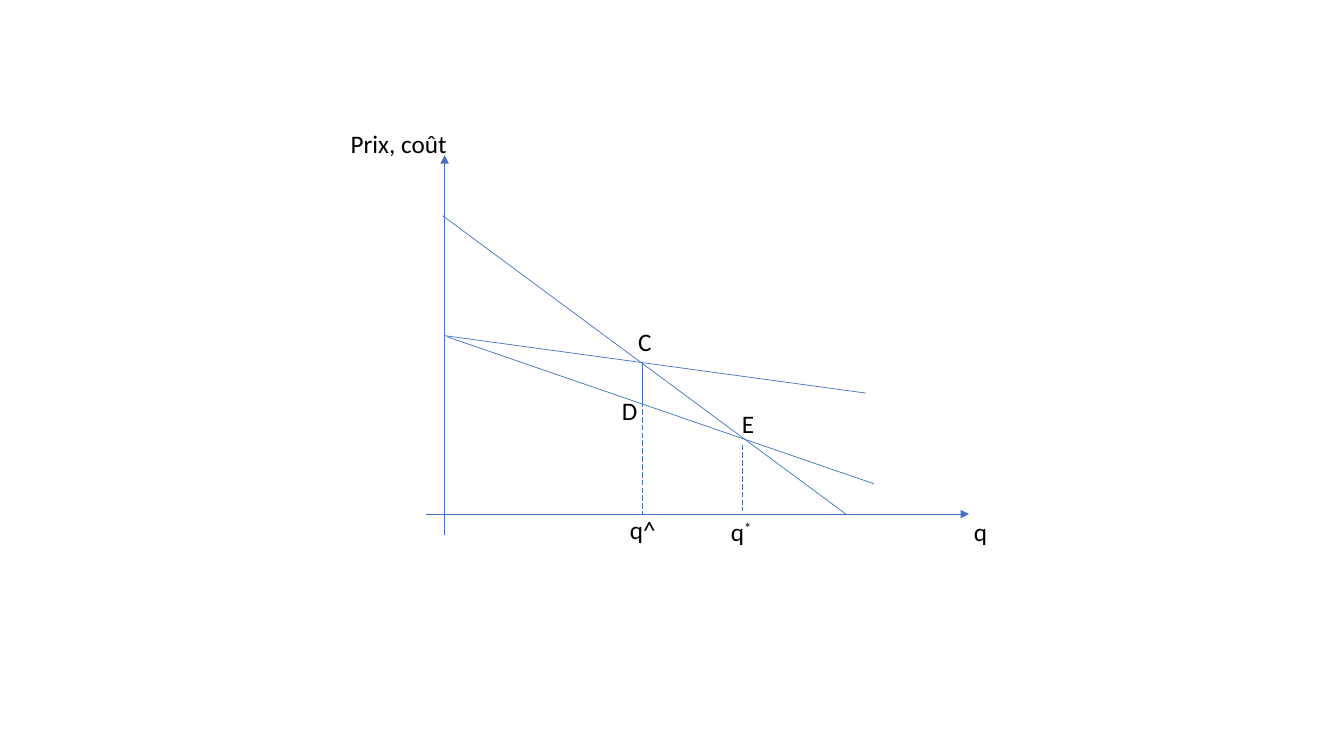
"""Build a price and cost diagram with demand and cost lines."""
from dataclasses import dataclass

from lxml.etree import SubElement
from pptx import Presentation
from pptx.dml.color import RGBColor
from pptx.enum.dml import MSO_LINE
from pptx.enum.shapes import MSO_CONNECTOR
from pptx.enum.text import MSO_AUTO_SIZE
from pptx.oxml.ns import qn
from pptx.slide import Slide
from pptx.util import Emu, Pt

EMU_PER_PX = 9144
LINE_COLOUR = "4472C4"
TEXT_COLOUR = "000000"
LABEL_HEIGHT = 40
AXIS_X = 441
AXIS_Y = 510
Q_HAT_X = 637
Q_STAR_X = 736
C_Y = 359


@dataclass(frozen=True)
class Line:
    start: tuple[int, int]
    end: tuple[int, int]
    arrow: bool = False
    dashed: bool = False


@dataclass(frozen=True)
class Label:
    text: str
    left: int
    top: int
    width: int
    superscript: str = ""


LINES = [
    Line((AXIS_X, 531), (AXIS_X, 154), arrow=True),
    Line((423, AXIS_Y), (961, AXIS_Y), arrow=True),
    Line((839, AXIS_Y), (439, 214)),
    Line((AXIS_X, 333), (859, 390)),
    Line((443, 334), (867, 480)),
    Line((Q_HAT_X, C_Y), (Q_HAT_X, 399)),
    Line((Q_STAR_X, 441), (Q_STAR_X, 507), dashed=True),
    Line((Q_HAT_X, C_Y), (Q_HAT_X, AXIS_Y), dashed=True),
]

LABELS = [
    Label("q", 956, 507, 34),
    Label("Prix, coût", 338, 122, 116),
    Label("C", 623, 319, 34),
    Label("D", 607, 387, 36),
    Label("E", 726, 400, 32),
    Label("q", 715, 507, 42, superscript="*"),
    Label("q^", 615, 505, 46),
]


def px(length: int) -> Emu:
    """Turn whole pixels into EMU."""
    return Emu(length * EMU_PER_PX)


def colour(value: str) -> RGBColor:
    """Turn a hex string into a colour."""
    return RGBColor.from_string(value)


def draw_line(slide: Slide, line: Line) -> None:
    """Draw a thin line, with an arrowhead or dashes if asked."""
    connector = slide.shapes.add_connector(
        MSO_CONNECTOR.STRAIGHT, *map(px, line.start + line.end)
    )
    connector.line.color.rgb = colour(LINE_COLOUR)
    connector.line.width = Pt(0.5)
    if line.dashed:
        connector.line.dash_style = MSO_LINE.LONG_DASH
    if line.arrow:
        outline = connector.line._get_or_add_ln()
        SubElement(outline, qn("a:tailEnd"), type="triangle")
    SubElement(connector._element.spPr, qn("a:effectLst"))


def draw_label(slide: Slide, label: Label) -> None:
    """Write a label, with its superscript if it has one."""
    box = slide.shapes.add_textbox(
        px(label.left), px(label.top), px(label.width), px(LABEL_HEIGHT)
    )
    frame = box.text_frame
    frame.word_wrap = False
    frame.auto_size = MSO_AUTO_SIZE.SHAPE_TO_FIT_TEXT
    paragraph = frame.paragraphs[0]
    for text, raised in ((label.text, False), (label.superscript, True)):
        if not text:
            continue
        run = paragraph.add_run()
        run.text = text
        run.font.name = "Calibri"
        run.font.size = Pt(18)
        run.font.color.rgb = colour(TEXT_COLOUR)
        if raised:
            run._r.get_or_add_rPr().set("baseline", "30000")


def main() -> None:
    """Build and save the presentation."""
    presentation = Presentation()
    presentation.slide_width = px(1333)
    presentation.slide_height = px(750)
    slide = presentation.slides.add_slide(presentation.slide_layouts[6])
    for line in LINES:
        draw_line(slide, line)
    for label in LABELS:
        draw_label(slide, label)
    presentation.save("out.pptx")


if __name__ == "__main__":
    main()
